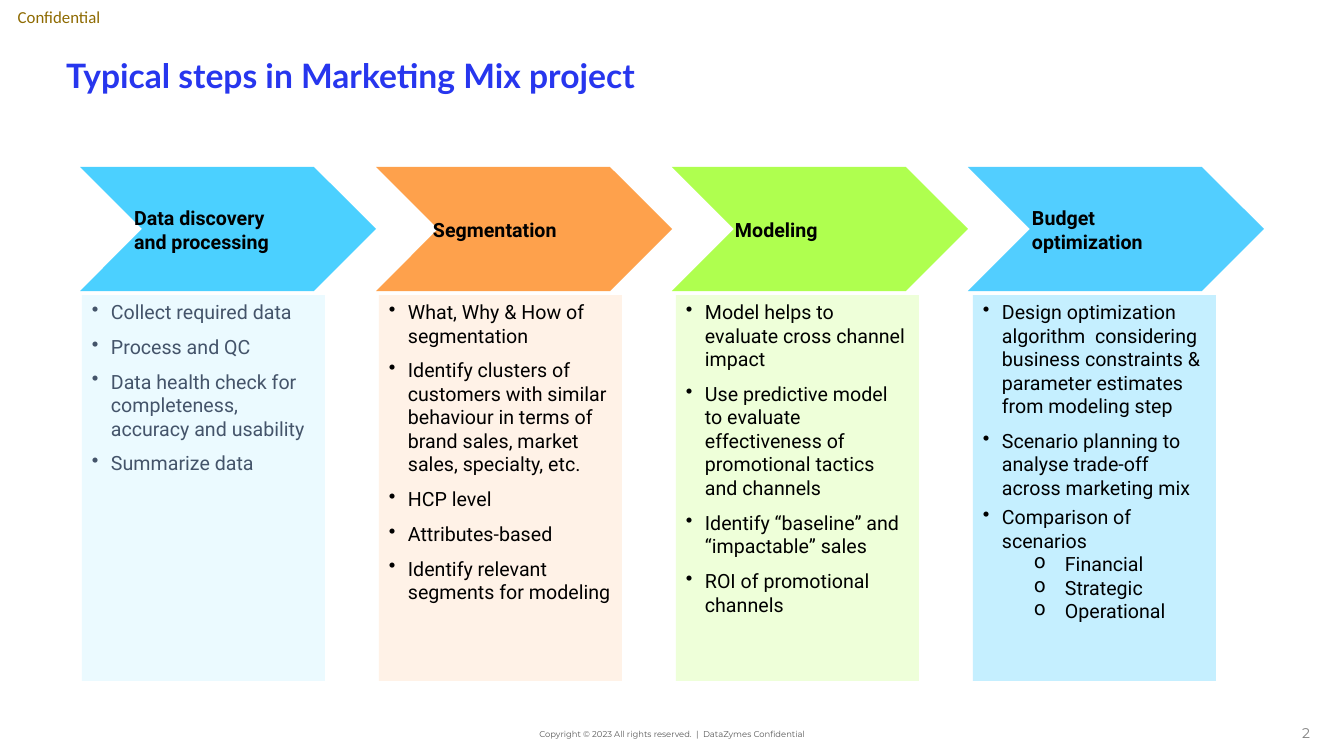
from lxml.etree import SubElement
from pptx import Presentation
from pptx.dml.color import RGBColor
from pptx.enum.shapes import MSO_SHAPE as Shape
from pptx.enum.text import MSO_ANCHOR as Anchor, MSO_AUTO_SIZE as AutoSize, PP_ALIGN as Align
from pptx.oxml.ns import qn
from pptx.util import Emu, Pt

BLACK = RGBColor(0x00, 0x00, 0x00)
SLATE = RGBColor(0x44, 0x54, 0x6A)
BLUE = RGBColor(0x27, 0x36, 0xEE)
GOLD = RGBColor(0x8E, 0x6A, 0x00)
GREY = RGBColor(0x80, 0x80, 0x80)
DARK_GREY = RGBColor(0x59, 0x59, 0x59)
SKY, PALE_SKY = RGBColor(0x4B, 0xD0, 0xFF), RGBColor(0xEB, 0xFA, 0xFF)
ORANGE, PALE_ORANGE = RGBColor(0xFE, 0xA1, 0x4C), RGBColor(0xFF, 0xF2, 0xE7)
LIME, PALE_LIME = RGBColor(0xAF, 0xFF, 0x4F), RGBColor(0xEE, 0xFF, 0xD9)
AZURE, PALE_AZURE = RGBColor(0x52, 0xCE, 0xFF), RGBColor(0xC5, 0xEF, 0xFF)

# Content
TITLE = "Typical steps in Marketing Mix project"
CONFIDENTIAL = "Confidential"
COPYRIGHT = "Copyright © 2023 All rights reserved.  |  DataZymes Confidential"
PAGE = "2"
# Each point is (kind, text); the kinds are keys of POINT_KINDS
STEPS = [
    dict(heading=["Data discovery", "and processing"], heading_left=134,
         strong=SKY, pale=PALE_SKY, ink=SLATE,
         points=[("spaced", "Collect required data"),
                 ("spaced", "Process and QC"),
                 ("spaced", "Data health check for completeness, accuracy and usability"),
                 ("spaced", "Summarize data")]),
    dict(heading=["Segmentation"], heading_left=433,
         strong=ORANGE, pale=PALE_ORANGE, ink=BLACK,
         points=[("spaced", "What, Why & How of segmentation"),
                 ("spaced", "Identify clusters of customers with similar behaviour "
                            "in terms of brand sales, market sales, specialty, etc."),
                 ("spaced", "HCP level"),
                 ("spaced", "Attributes-based"),
                 ("spaced", "Identify relevant segments for modeling")]),
    dict(heading=["Modeling"], heading_left=735,
         strong=LIME, pale=PALE_LIME, ink=BLACK,
         points=[("spaced", "Model helps to evaluate cross channel impact"),
                 ("spaced", "Use predictive model to evaluate effectiveness of "
                            "promotional tactics and channels"),
                 ("spaced", "Identify “baseline” and “impactable” sales"),
                 ("spaced", "ROI of promotional channels")]),
    dict(heading=["Budget", "optimization"], heading_left=1032,
         strong=AZURE, pale=PALE_AZURE, ink=BLACK,
         points=[("spaced", "Design optimization algorithm  considering business "
                            "constraints & parameter estimates from modeling step"),
                 ("spaced", "Scenario planning to analyse trade-off across marketing mix"),
                 ("tight", "Comparison of scenarios"),
                 ("sub", "Financial"),
                 ("sub", "Strategic"),
                 ("sub", "Operational")]),
]

# Formats: bullet, left margin px, hanging px, level, space around in points
POINT_KINDS = {"spaced": ("•", 19, 19, 0, 4),
               "tight": ("•", 19, 19, 0, 0),
               "sub": ("o", 82, 31, 1, 0)}
TITLE_FONT = dict(name="Lato", size=Pt(24), bold=True)
CONFIDENTIAL_FONT = dict(name="Calibri", size=Pt(12))
HEADING_FONT = dict(name="Roboto", size=Pt(14), bold=True)
POINT_FONT = dict(name="Roboto", size=Pt(14), bold=False)
PAGE_FONT = dict(name="Montserrat", size=Pt(10))
COPYRIGHT_FONT = dict(name="Montserrat", size=Pt(6))
NO_INSETS = dict(margin_left=0, margin_top=0, margin_right=0, margin_bottom=0)

# Layout in px
SLIDE_SIZE = (1344, 756)
CHEVRON_LEFT, CHEVRON_PITCH, CHEVRON_TOP, CHEVRON_HEIGHT = 80, 296, 167, 124
PANEL_LEFT, PANEL_PITCH, PANEL_TOP, PANEL_WIDTH, PANEL_HEIGHT = 82, 297, 295, 243, 386
HEADING_TOP, HEADING_WIDTH, HEADING_HEIGHT = 208, 171, 43


def px(length):
    return Emu(round(length * 914400 / 100.8))


def box(*lengths):
    return [px(length) for length in lengths]


def style(target, values):
    for name, value in values.items():
        setattr(target, name, value)


def write(paragraph, text, font, ink, align=Align.LEFT):
    paragraph.alignment = align
    run = paragraph.add_run()
    run.text = text
    style(run.font, font)
    run.font.color.rgb = ink


def add_label(shapes, place, lines, font, ink, align=Align.LEFT, **frame_format):
    frame = shapes.add_textbox(*box(*place)).text_frame
    style(frame, dict(word_wrap=True, vertical_anchor=Anchor.MIDDLE, **frame_format))
    for index, line in enumerate(lines):
        write(frame.add_paragraph() if index else frame.paragraphs[0], line, font, ink, align)
    return frame


def add_block(shapes, preset, place, color):
    block = shapes.add_shape(preset, *box(*place))
    block.shadow.inherit = False
    block.fill.solid()
    block.fill.fore_color.rgb = color
    block.line.fill.background()
    return block


def add_points(frame, points, ink):
    style(frame, dict(word_wrap=True, vertical_anchor=Anchor.TOP))
    for index, (kind, text) in enumerate(points):
        bullet, margin, hanging, level, space = POINT_KINDS[kind]
        paragraph = frame.add_paragraph() if index else frame.paragraphs[0]
        properties = paragraph._p.get_or_add_pPr()
        properties.set("marL", str(px(margin)))
        properties.set("indent", str(-px(hanging)))
        SubElement(properties, qn("a:buChar"), char=bullet)
        style(paragraph, dict(level=level, space_before=Pt(space if index else 0),
                              space_after=Pt(space)))
        write(paragraph, text, POINT_FONT, ink)


def main():
    deck = Presentation()
    deck.slide_width, deck.slide_height = box(*SLIDE_SIZE)
    slide = deck.slides.add_slide(deck.slide_layouts[5])

    # Title
    title = slide.shapes.title
    title.left, title.top, title.width, title.height = box(56, 54, 1230, 73)
    style(title.text_frame, dict(vertical_anchor=Anchor.TOP, auto_size=AutoSize.NONE))
    title_line = title.text_frame.paragraphs[0]
    title_line.line_spacing = 0.9
    write(title_line, TITLE, TITLE_FONT, BLUE)

    # Header and footer
    add_label(slide.shapes, (0, 0, 118, 33), [CONFIDENTIAL], CONFIDENTIAL_FONT, GOLD,
              Align.CENTER, **NO_INSETS)
    page = add_label(slide.shapes, (1252, 722, 68, 24), [PAGE], PAGE_FONT, GREY, Align.RIGHT)
    page.paragraphs[0].line_spacing = 0.8
    add_label(slide.shapes, (445, 722, 454, 24), [COPYRIGHT], COPYRIGHT_FONT, DARK_GREY,
              Align.CENTER)

    # Steps: chevron, panel of points, heading
    for index, step in enumerate(STEPS):
        shapes = slide.shapes.add_group_shape().shapes
        add_block(shapes, Shape.CHEVRON,
                  (CHEVRON_LEFT + index * CHEVRON_PITCH, CHEVRON_TOP,
                   CHEVRON_PITCH, CHEVRON_HEIGHT), step["strong"])
        panel = add_block(shapes, Shape.RECTANGLE,
                          (PANEL_LEFT + index * PANEL_PITCH, PANEL_TOP,
                           PANEL_WIDTH, PANEL_HEIGHT), step["pale"])
        add_points(panel.text_frame, step["points"], step["ink"])
        add_label(shapes, (step["heading_left"], HEADING_TOP, HEADING_WIDTH, HEADING_HEIGHT),
                  step["heading"], HEADING_FONT, BLACK, **NO_INSETS)

    deck.save("out.pptx")


if __name__ == "__main__":
    main()
